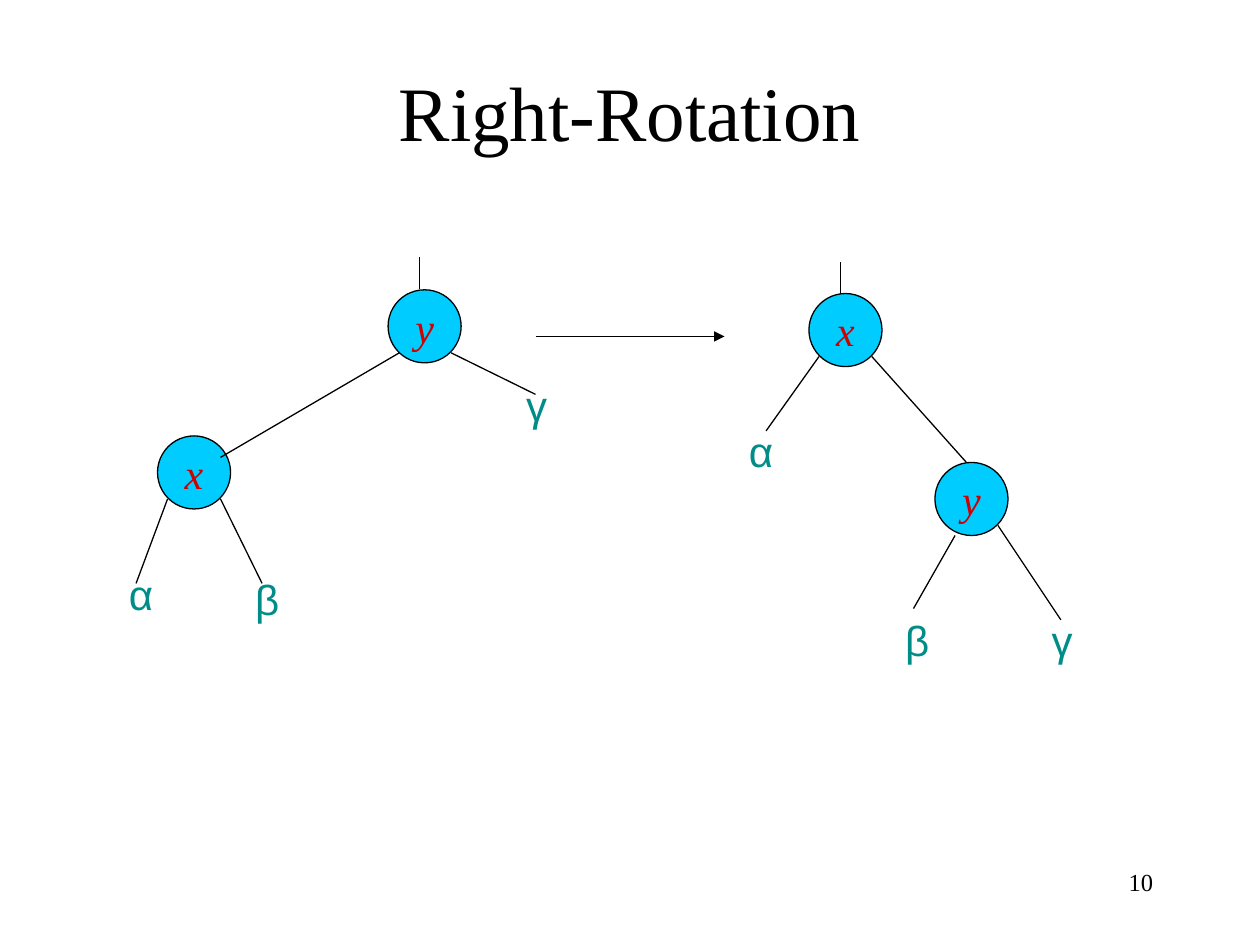
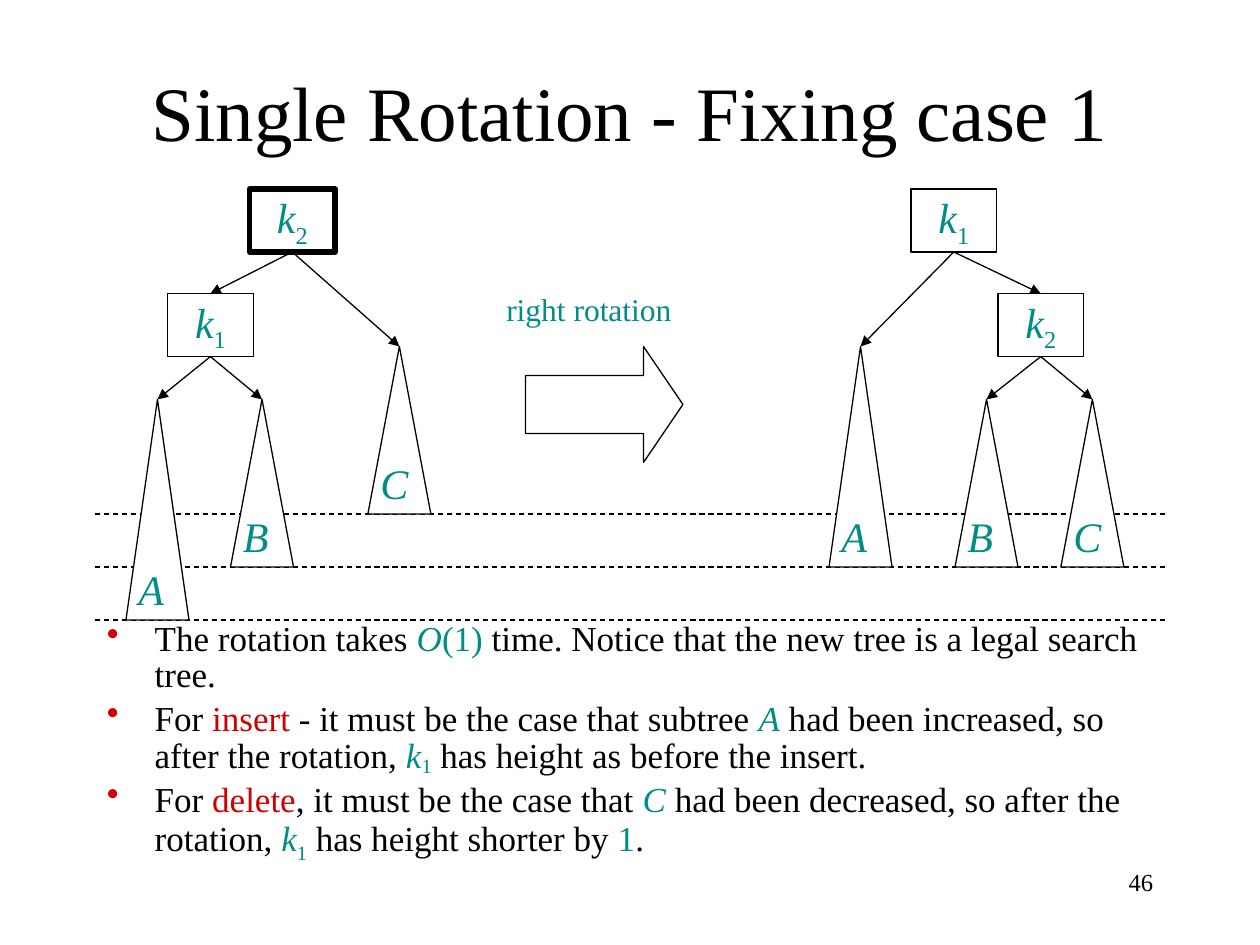
import pptx
import pptx.util
import pptx.dml.color
import pptx.enum.dml
import pptx.enum.shapes
import pptx.enum.text
import pptx.oxml
import pptx.oxml.ns
import lxml.etree

Inches = pptx.util.Inches
Pt = pptx.util.Pt
RGBColor = pptx.dml.color.RGBColor
SHAPE = pptx.enum.shapes.MSO_SHAPE
ALIGN = pptx.enum.text.PP_ALIGN
ANCHOR = pptx.enum.text.MSO_ANCHOR
qn = pptx.oxml.ns.qn

BLACK = RGBColor(0x00, 0x00, 0x00)
WHITE = RGBColor(0xFF, 0xFF, 0xFF)
CYAN = RGBColor(0x00, 0xCC, 0xFF)
TEAL = RGBColor(0x00, 0x8C, 0x87)
RED = RGBColor(0xCE, 0x00, 0x00)

SERIF = "Times New Roman"
STYLES = {
    "plain": {"color": BLACK},
    "key": {"color": RED},
    "node": {"color": RED, "italic": True},
    "math": {"color": TEAL},
    "var": {"color": TEAL, "italic": True},
    "sub": {"color": TEAL, "base": -25},
    "low": {"color": TEAL, "base": -16},
    "greek": {"color": TEAL, "name": "Arial"},
}


def write(para, runs, size):
    """Add styled runs, given as (text, style) pairs, to a paragraph."""
    for text, style in runs:
        run = para.add_run()
        run.text = text
        look = {"name": SERIF, "size": Pt(size), "italic": False, **STYLES[style]}
        run.font.color.rgb = look.pop("color")
        base = look.pop("base", 0)
        for name, value in look.items():
            setattr(run.font, name, value)
        if base:
            run._r.get_or_add_rPr().set("baseline", str(base * 1000))


def fill_text(shape, runs, size=24, align=ALIGN.CENTER, anchor=ANCHOR.MIDDLE, wrap=False):
    """Write one paragraph into a shape."""
    frame = shape.text_frame
    for name, value in {"word_wrap": wrap, "vertical_anchor": anchor}.items():
        setattr(frame, name, value)
    frame.paragraphs[0].alignment = align
    write(frame.paragraphs[0], runs, size)


def label(slide, box, runs, size=24, align=ALIGN.CENTER, anchor=ANCHOR.TOP, wrap=False):
    """Place a text box."""
    shape = slide.shapes.add_textbox(*map(Inches, box))
    fill_text(shape, runs, size, align, anchor, wrap)


def paint(shape, fill=None, weight=0.75):
    """Give a shape its fill and black outline."""
    shape.shadow.inherit = False
    if fill is None:
        shape.fill.background()
    else:
        shape.fill.solid()
        shape.fill.fore_color.rgb = fill
    shape.line.color.rgb = BLACK
    shape.line.width = Pt(weight)
    return shape


def block(slide, kind, box, fill=None, weight=0.75):
    """Place a preset shape."""
    return paint(slide.shapes.add_shape(kind, *map(Inches, box)), fill, weight)


def link(slide, x1, y1, x2, y2, arrow=False, dash=False):
    """Draw a thin black line, with an arrowhead or dashes if asked."""
    line = slide.shapes.add_connector(
        pptx.enum.shapes.MSO_CONNECTOR.STRAIGHT, *map(Inches, (x1, y1, x2, y2)))
    line.line.color.rgb = BLACK
    line.line.width = Pt(0.75)
    if dash:
        line.line.dash_style = pptx.enum.dml.MSO_LINE.DASH
    if arrow:
        tail = lxml.etree.SubElement(line.line._get_or_add_ln(), qn("a:tailEnd"))
        tail.set("type", "triangle")
    lxml.etree.SubElement(line._element.spPr, qn("a:effectLst"))
    return line


def start(deck, title, number):
    """Add a blank slide with its title and number."""
    slide = deck.slides.add_slide(deck.slide_layouts[6])
    label(slide, (0.75, 0.25, 8.5, 1.25), [(title, "plain")], 44,
          anchor=ANCHOR.MIDDLE, wrap=True)
    label(slide, (7.17, 6.83, 2.08, 0.5), [(str(number), "plain")], 14,
          align=ALIGN.RIGHT, wrap=True)
    return slide


def round_tree(slide, left, top, nodes, edges, leaves):
    """Draw a tree of circles; the first node is the root and has a stub."""
    for text, x, y in nodes:
        disc = block(slide, SHAPE.OVAL, (left + x, top + y, 0.58, 0.58), CYAN)
        fill_text(disc, [(text, "node")])
    stem = left + nodes[0][1] + 0.25
    link(slide, stem, top + 0.25, stem, top)
    for x1, y1, x2, y2 in edges:
        link(slide, left + x1, top + y1, left + x2, top + y2)
    for text, x, y in leaves:
        label(slide, (left + x, top + y, 0.4, 0.5), [(text, "greek")])


def wedge(slide, tip, top, high):
    """Draw a subtree as a tall triangle below its tip."""
    low = Inches(top + high)
    pen = slide.shapes.build_freeform(Inches(tip - 0.25), low)
    pen.add_line_segments([(Inches(tip + 0.25), low), (Inches(tip), Inches(top))])
    paint(pen.convert_to_shape(), WHITE)


def box_tree(slide, left, top, keys, leaves, edges):
    """Draw a tree of boxed keys over triangular subtrees."""
    boxes, tips = {}, {}
    for digit, x, y, weight in keys:
        box = block(slide, SHAPE.RECTANGLE, (left + x, top + y, 0.68, 0.5), weight=weight)
        fill_text(box, [("k", "var"), (digit, "sub")])
        boxes[digit] = box
        tips[digit] = left + x + 0.34, top + y
    for name, x, y, high in leaves:
        tips[name] = left + x, top + y
        wedge(slide, *tips[name], high)
        label(slide, (left + x - 0.25, top + y + high - 0.5, 0.4, 0.5),
              [(name, "var")], align=ALIGN.LEFT)
    for head, child in edges:
        x, y = tips[head]
        line = link(slide, x, y + 0.5, *tips[child], arrow=True)
        line.begin_connect(boxes[head], 2)
        if child in boxes:
            line.end_connect(boxes[child], 0)


def bullets(slide, box, items):
    """Write a list with red bullets."""
    frame = slide.shapes.add_textbox(*map(Inches, box)).text_frame
    frame.word_wrap = True
    for spot, runs in enumerate(items):
        para = frame.add_paragraph() if spot else frame.paragraphs[0]
        para.line_spacing = 0.84
        para.space_before = Pt(5)
        props = para._p.get_or_add_pPr()
        props.set("marL", str(Inches(0.38)))
        props.set("indent", str(-Inches(0.38)))
        tint = lxml.etree.SubElement(props, qn("a:buClr"))
        lxml.etree.SubElement(tint, qn("a:srgbClr")).set("val", str(RED))
        lxml.etree.SubElement(props, qn("a:buChar")).set("char", "•")
        write(para, runs, 20)


def right_slide(deck):
    """Build the slide on right rotation."""
    slide = start(deck, "Right-Rotation", 10)
    round_tree(
        slide, 0.92, 2.04,
        [("y", 2.16, 0.26), ("x", 0.33, 1.42)],
        [(2.25, 0.76, 0.83, 1.59), (2.66, 0.76, 3.33, 1.09),
         (0.41, 1.92, 0.16, 2.59), (0.83, 1.92, 1.16, 2.59)],
        [("α", 0, 2.42), ("β", 1, 2.46), ("γ", 3.14, 0.92)])
    round_tree(
        slide, 5.84, 2.08,
        [("x", 0.58, 0.25), ("y", 1.58, 1.59)],
        [(1.08, 0.75, 1.83, 1.59), (0.66, 0.75, 0.24, 1.34),
         (1.74, 2.17, 1.41, 2.75), (2.08, 2.09, 2.58, 2.84)],
        [("α", 0, 1.25), ("β", 1.24, 2.75), ("γ", 2.39, 2.75)])
    link(slide, 4.25, 2.67, 5.75, 2.67, arrow=True)


def single_slide(deck):
    """Build the slide on single rotation."""
    slide = start(deck, "Single Rotation - Fixing case 1", 46)
    bullets(slide, (0.75, 4.9, 8.5, 2), [
        [("The rotation takes ", "plain"), ("O", "var"), ("(1)", "math"),
         (" time. Notice that the new tree is a legal search tree.", "plain")],
        [("For ", "plain"), ("insert", "key"),
         (" - it must be the case that subtree ", "plain"), ("A", "var"),
         (" had been increased, so after the rotation, ", "plain"),
         ("k", "var"), ("1", "low"),
         (" has height as before the insert.", "plain")],
        [("For ", "plain"), ("delete", "key"),
         (", it must be the case that ", "plain"), ("C", "var"),
         (" had been decreased, so after the rotation, ", "plain"),
         ("k", "var"), ("1", "sub"), (" has height shorter by ", "plain"),
         ("1", "math"), (".", "plain")],
    ])
    for level in range(3):
        y = 4.08 + 0.42 * level
        link(slide, 0.75, y, 9.25, y, dash=True)
    box_tree(
        slide, 1, 1.5,
        [("2", 0.98, 0, 3), ("1", 0.33, 0.83, 0.75)],
        [("A", 0.25, 1.67, 1.75), ("B", 1.08, 1.67, 1.33), ("C", 2.17, 1.25, 1.33)],
        ["21", "2C", "1A", "1B"])
    box_tree(
        slide, 6.58, 1.5,
        [("1", 0.65, 0, 0.75), ("2", 1.34, 0.83, 0.75)],
        [("A", 0.25, 1.25, 1.75), ("B", 1.25, 1.67, 1.33), ("C", 2.09, 1.67, 1.33)],
        ["1A", "12", "2B", "2C"])
    arrow = block(slide, SHAPE.RIGHT_ARROW, (4.17, 2.75, 1.25, 0.92), WHITE)
    arrow.adjustments[1] = 0.34
    label(slide, (3.92, 2.25, 1.67, 0.4), [("right rotation", "math")], 18,
          align=ALIGN.LEFT, wrap=True)


def main():
    """Build and save the deck."""
    deck = pptx.Presentation()
    deck.slide_width = Inches(10)
    deck.slide_height = Inches(7.5)
    right_slide(deck)
    single_slide(deck)
    deck.save("out.pptx")


if __name__ == "__main__":
    main()
